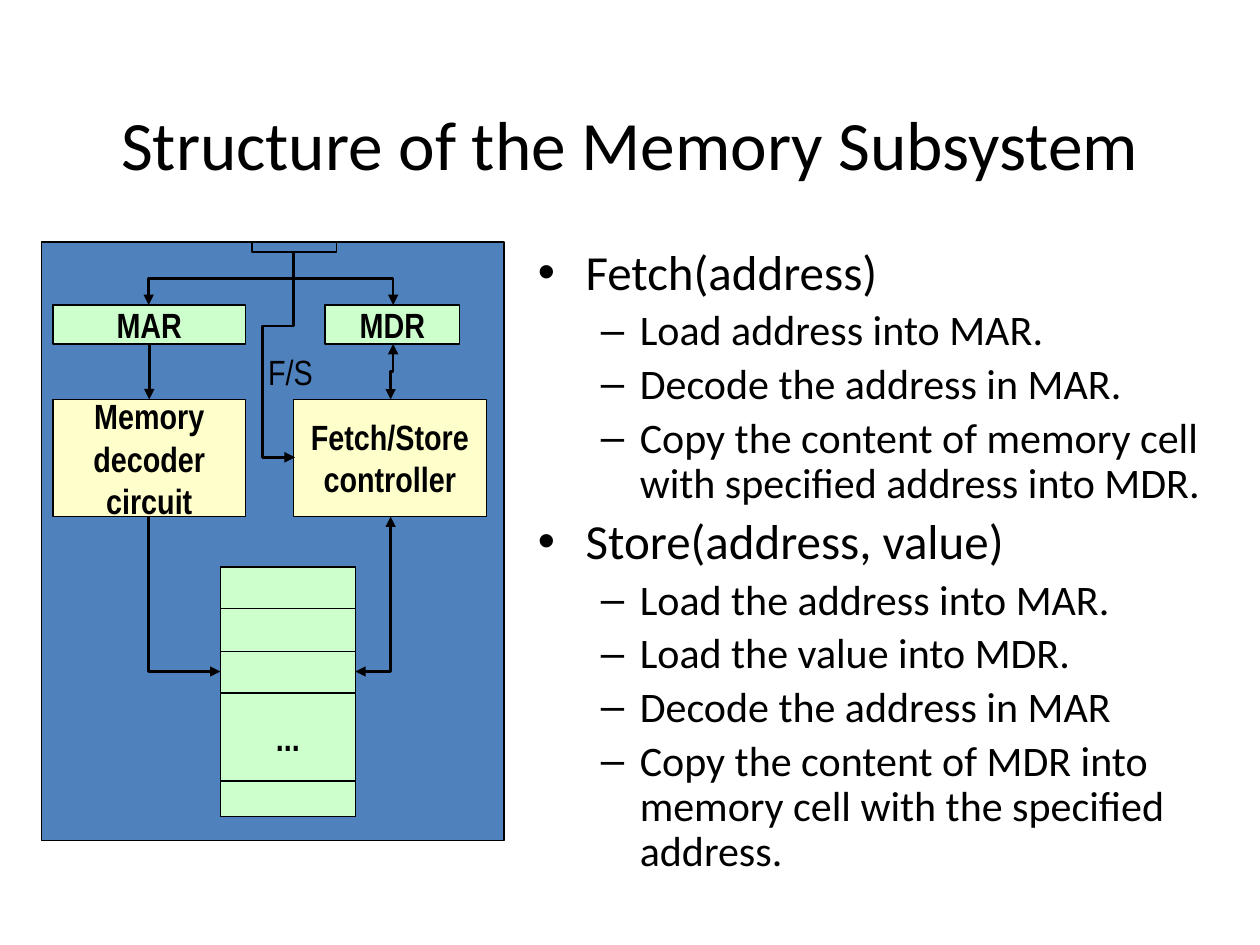
"""Build a slide on the structure of the memory subsystem."""
from lxml import etree
from pptx import Presentation
from pptx import util as u
from pptx.dml.color import RGBColor
from pptx.enum import shapes, text
from pptx.oxml import ns

COLORS = {
    "ink": "000000",
    "panel": "4F81BD",
    "register": "CCFFCC",
    "circuit": "FFFFCC",
}
OPERATIONS = {
    "Fetch(address)": [
        "Load address into MAR.",
        "Decode the address in MAR.",
        "Copy the content of memory cell with specified address into MDR.",
    ],
    "Store(address, value)": [
        "Load the address into MAR.",
        "Load the value into MDR.",
        "Decode the address in MAR",
        "Copy the content of MDR into memory cell with the specified address.",
    ],
}
CELLS = [(4.5, 0.33, ""), (4.83, 0.39, ""), (5.17, 0.33, ""), (6.17, 0.31, ""), (5.5, 0.7, "...")]


def color(name):
    return RGBColor.from_string(COLORS[name])


def add_xml(parent, tag, **attributes):
    return etree.SubElement(parent, ns.qn(tag), attributes)


def write(para, words, size=20, font="Arial Narrow", bold=False, align=None):
    span = para.add_run()
    span.text = words
    span.font.size = u.Pt(size)
    span.font.name = font
    span.font.bold = bold
    span.font.color.rgb = color("ink")
    para.alignment = align


def add_text_box(page, left, top, width, height, wrap=True, anchor=text.MSO_ANCHOR.TOP):
    box = page.shapes.add_textbox(*map(u.Inches, (left, top, width, height)))
    box.text_frame.word_wrap = wrap
    box.text_frame.vertical_anchor = anchor
    return box.text_frame


def add_box(page, left, top, width, height, fill, label=""):
    box = page.shapes.add_shape(
        shapes.MSO_SHAPE.RECTANGLE, *map(u.Inches, (left, top, width, height)))
    box.shadow.inherit = False
    box.fill.solid()
    box.fill.fore_color.rgb = color(fill)
    box.line.color.rgb = color("ink")
    box.line.width = u.Pt(0.75)
    frame = box.text_frame
    frame.word_wrap = False
    frame.vertical_anchor = text.MSO_ANCHOR.MIDDLE
    if label:
        for index, words in enumerate(label.split("\n")):
            para = frame.add_paragraph() if index else frame.paragraphs[0]
            write(para, words, bold=True, align=text.PP_ALIGN.CENTER)
    return box


def add_line(page, start, end, kind=shapes.MSO_CONNECTOR.STRAIGHT, width=1.5, ends=("tailEnd",)):
    line = page.shapes.add_connector(kind, *map(u.Inches, (*start, *end)))
    line.line.color.rgb = color("ink")
    line.line.width = u.Pt(width)
    for name in ends:
        add_xml(line.line._get_or_add_ln(), f"a:{name}", type="triangle")
    add_xml(line._element.spPr, "a:effectLst")
    return line


def add_bent(page, start, end, segments, adjustments=(), ends=("tailEnd",)):
    """Draw an elbow arrow that leaves its start vertically."""
    line = add_line(page, start, end, shapes.MSO_CONNECTOR.ELBOW, ends=ends)
    across, along = end[0] - start[0], end[1] - start[1]
    width, height = abs(along), abs(across)
    line.left = u.Inches((start[0] + end[0] - width) / 2)
    line.top = u.Inches((start[1] + end[1] - height) / 2)
    line.width, line.height = u.Inches(width), u.Inches(height)
    frame = line._element.spPr.find(ns.qn("a:xfrm"))
    for flip in ("flipH", "flipV"):
        frame.attrib.pop(flip, None)
    frame.set("rot", str((270 if across > 0 else 90) * 60000))
    if across > 0 and along > 0:
        frame.set("flipH", "1")
    geometry = line._element.spPr.find(ns.qn("a:prstGeom"))
    geometry.set("prst", f"bentConnector{segments}")
    guides = geometry.find(ns.qn("a:avLst"))
    if guides is None:
        guides = add_xml(geometry, "a:avLst")
    for index, share in enumerate(adjustments, 1):
        add_xml(guides, "a:gd", name=f"adj{index}", fmla=f"val {round(share * 100000)}")


def add_bullet(para, words, mark, size, margin, indent):
    write(para, words, size=size, font="Calibri")
    para.line_spacing = 0.9
    para.space_before = u.Pt(size * 0.2)
    properties = para._p.get_or_add_pPr()
    properties.set("marL", str(u.Inches(margin)))
    properties.set("indent", str(-u.Inches(indent)))
    add_xml(properties, "a:buFont", typeface="Arial")
    add_xml(properties, "a:buChar", char=mark)


def add_operations(page):
    frame = add_text_box(page, 4.17, 1.92, 5.67, 5.25)
    para = frame.paragraphs[0]
    for operation, steps in OPERATIONS.items():
        add_bullet(para, operation, "•", 28, 0.38, 0.38)
        for step in steps:
            para = frame.add_paragraph()
            para.level = 1
            add_bullet(para, step, "–", 24, 0.81, 0.31)
        if operation != list(OPERATIONS)[-1]:
            para = frame.add_paragraph()


def add_diagram(page):
    add_box(page, 0.33, 1.92, 3.67, 4.75, "panel")
    mar = add_box(page, 0.42, 2.42, 1.53, 0.31, "register", "MAR")
    add_box(page, 2.58, 2.42, 1.07, 0.31, "register", "MDR")
    for top, height, label in CELLS:
        add_box(page, 1.75, top, 1.07, height, "register", label)
    decoder = add_box(page, 0.42, 3.17, 1.53, 0.93, "circuit", "Memory\ndecoder\ncircuit")
    add_box(page, 2.33, 3.17, 1.53, 0.93, "circuit", "Fetch/Store\ncontroller")

    both = ("headEnd", "tailEnd")
    add_bent(page, (1.18, 4.1), (1.75, 5.33), 2)
    add_bent(page, (3.1, 4.1), (2.82, 5.33), 2, ends=both)
    add_bent(page, (3.1, 3.17), (3.12, 2.73), 3, [0.5], ends=both)
    load = add_line(page, (1.18, 2.73), (1.18, 3.17))
    load.begin_connect(mar, 2)
    load.end_connect(decoder, 0)

    add_line(page, (2.08, 1.92), (2.42, 1.92), width=0.75, ends=())
    add_box(page, 2, 1.92, 0.67, 0.08, "panel")
    bus = (2.33, 2)
    add_bent(page, bus, (1.18, 2.42), 3, [0.5])
    add_bent(page, bus, (3.12, 2.42), 3, [0.5])
    add_bent(page, bus, (2.34, 3.63), 4, [0.36, -25])
    write(add_text_box(page, 2.03, 2.73, 0.56, 0.43, wrap=False).paragraphs[0], "F/S")


def main():
    deck = Presentation()
    deck.slide_width, deck.slide_height = u.Inches(10), u.Inches(7.5)
    page = deck.slides.add_slide(deck.slide_layouts[6])
    title = add_text_box(page, 0.75, 0.67, 8.5, 0.92, anchor=text.MSO_ANCHOR.MIDDLE)
    write(title.paragraphs[0], "Structure of the Memory Subsystem",
          size=39.6, font="Calibri", align=text.PP_ALIGN.CENTER)
    add_operations(page)
    add_diagram(page)
    deck.save("out.pptx")


if __name__ == "__main__":
    main()
